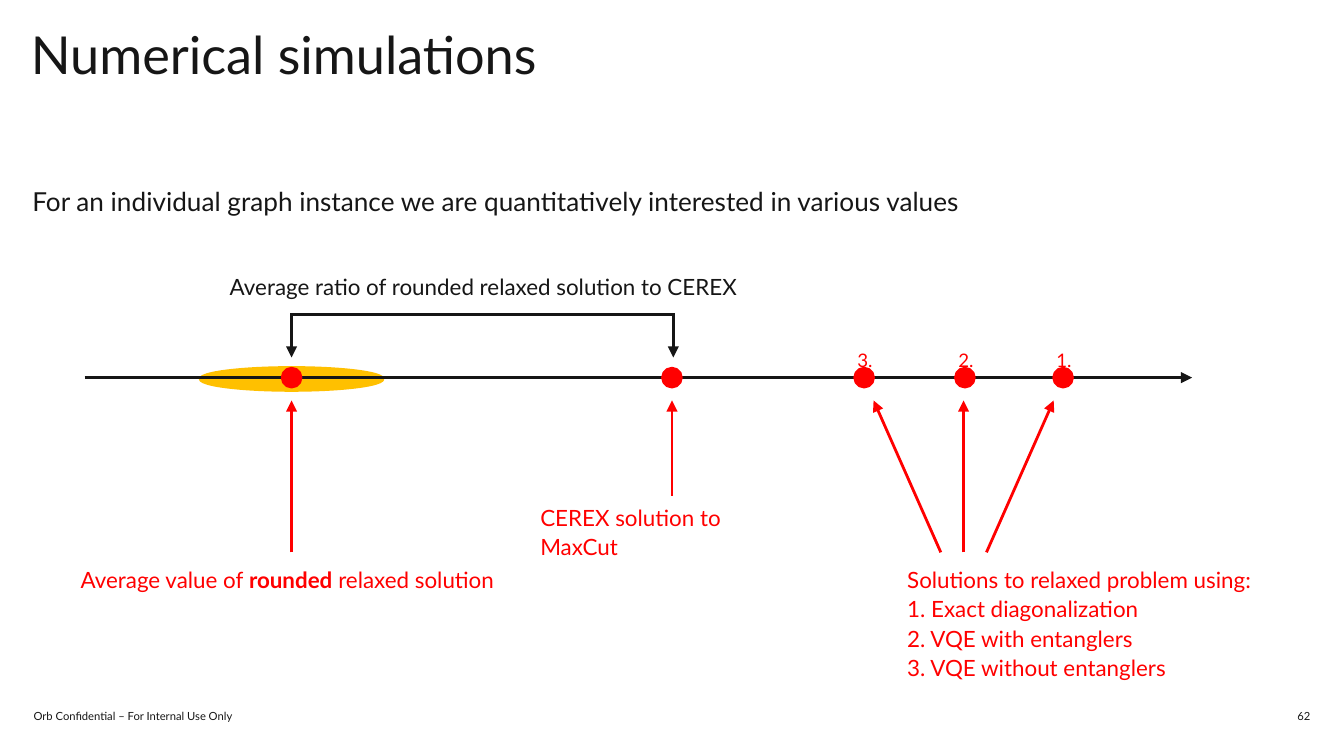
from pptx import Presentation
from pptx.dml.color import RGBColor
from pptx.enum.shapes import MSO_CONNECTOR, MSO_SHAPE
from pptx.enum.text import MSO_ANCHOR, MSO_AUTO_SIZE, PP_ALIGN
from pptx.oxml.ns import qn
from pptx.util import Inches, Pt
from lxml.etree import SubElement

INK = RGBColor(0x16, 0x16, 0x16)
RED = RGBColor(0xFF, 0x00, 0x00)
GOLD = RGBColor(0xFF, 0xC0, 0x00)
WHITE = RGBColor(0xFF, 0xFF, 0xFF)

# Positions inside the diagram box
AXIS = 0.81
MEAN, EXACT = 1.57, 4.4
RELAXED = {"3.": 5.83, "2.": 6.58, "1.": 7.31}
TIP = AXIS + 0.17
TAIL = 2.11


def write(slide, box, lines, size, color=INK, spacing=1.1, wrap=False,
          align=PP_ALIGN.LEFT, anchor=MSO_ANCHOR.TOP):
    """Add one paragraph; a line is a string or a list of (text, bold) runs."""
    frame = slide.shapes.add_textbox(*map(Inches, box)).text_frame
    for side in ("left", "top", "right", "bottom"):
        setattr(frame, f"margin_{side}", 0)
    frame.word_wrap = wrap
    if not wrap:
        frame.auto_size = MSO_AUTO_SIZE.SHAPE_TO_FIT_TEXT
    frame.vertical_anchor = anchor
    para = frame.paragraphs[0]
    para.line_spacing = spacing
    para.alignment = align
    para.font.size = Pt(size)
    for i, line in enumerate(lines):
        if i:
            para.add_line_break()
        runs = [(line, False)] if isinstance(line, str) else line
        for text, bold in runs:
            run = para.add_run()
            run.text = text
            style = {"name": "Lato", "size": Pt(size), "bold": bold}
            for key, value in style.items():
                setattr(run.font, key, value)
            run.font.color.rgb = color


def oval(slide, x, y, width, height, color):
    """Add a filled ellipse centred on x, y."""
    box = (x - width / 2, y - height / 2, width, height)
    shape = slide.shapes.add_shape(MSO_SHAPE.OVAL, *map(Inches, box))
    shape.shadow.inherit = False
    shape.fill.solid()
    shape.fill.fore_color.rgb = color
    shape.line.color.rgb = color
    shape.line.width = Pt(1.5)


def stroke(slide, start, end, color=INK, arrow=True):
    line = slide.shapes.add_connector(
        MSO_CONNECTOR.STRAIGHT, *map(Inches, (*start, *end)))
    line.line.color.rgb = color
    line.line.width = Pt(1.5)
    if arrow:
        SubElement(line.line._get_or_add_ln(), qn("a:tailEnd"), type="triangle")
    SubElement(line._element.spPr, qn("a:effectLst"))


def header(slide, left, top, width):
    write(slide, (left, top, 7.04, 0.88), ["Numerical simulations"], 28,
          spacing=0.9, wrap=True)
    write(slide, (left + 0.01, top + 1.14, width, 3.56),
          ["For an individual graph instance we are quantitatively "
           "interested in various values"], 14, wrap=True)


def number_line(slide, left, top, width):
    y = top + AXIS
    oval(slide, left + MEAN, y + 0.01, 1.36, 0.17, GOLD)
    stroke(slide, (left + 0.03, y), (left + width, y))
    for x in (MEAN, EXACT, *RELAXED.values()):
        oval(slide, left + x, y, 0.14, 0.14, RED)
    for text, x in RELAXED.items():
        write(slide, (left + x - 0.05, y - 0.23, 0.12, 0.17), [text], 10, RED)


def bracket(slide, left, top):
    """Show the ratio between the mean and the exact solution."""
    write(slide, (left + 1.11, top + 0.01, 3.86, 0.21),
          ["Average ratio of rounded relaxed solution to CEREX"], 12)
    y = top + 0.34
    ends = (left + MEAN, left + EXACT + 0.01)
    for x in ends:
        stroke(slide, (x, y), (x, y + 0.32))
    stroke(slide, (ends[0] - 0.01, y), (ends[1] + 0.01, y), arrow=False)


def pointers(slide, left, top):
    """Explain the red dots from below the axis."""
    mid = RELAXED["2."] - 0.01
    arrows = [(MEAN, TAIL, MEAN), (EXACT, 1.69, EXACT)]
    arrows += [(mid + 0.17 * n, TAIL, mid + 0.67 * n) for n in (-1, 0, 1)]
    for foot, drop, head in arrows:
        stroke(slide, (left + foot, top + drop), (left + head, top + TIP), RED)

    notes = [
        ((0, 2.19, 3.19, 0.21),
         [[("Average value of ", False), ("rounded", True),
           (" relaxed solution", False)]]),
        ((3.42, 1.73, 1.95, 0.21), ["CEREX solution to MaxCut"]),
        ((6.15, 2.19, 2.69, 0.88),
         ["Solutions to relaxed problem using:", "1. Exact diagonalization",
          "2. VQE with entanglers", "3. VQE without entanglers"]),
    ]
    for (x, y, width, height), lines in notes:
        write(slide, (left + x, top + y, width, height), lines, 12, RED)


def footer(slide, left, top, width):
    look = {"size": 6, "spacing": 1.0, "wrap": True,
            "anchor": MSO_ANCHOR.MIDDLE}
    write(slide, (left, top, 4.5, 0.18),
          ["Orb Confidential – For Internal Use Only"], **look)
    write(slide, (left + width - 2, top, 2, 0.18), ["62"],
          align=PP_ALIGN.RIGHT, **look)


def main():
    deck = Presentation()
    deck.slide_width = Inches(10)
    deck.slide_height = deck.slide_width * 9 // 16
    slide = deck.slides.add_slide(deck.slide_layouts[6])
    slide.background.fill.solid()
    slide.background.fill.fore_color.rgb = WHITE
    header(slide, 0.23, 0.22, 9.52)
    number_line(slide, 0.6, 2, 8.27)
    bracket(slide, 0.6, 2)
    pointers(slide, 0.6, 2)
    footer(slide, 0.25, 5.24, 9.5)
    deck.save("out.pptx")


if __name__ == "__main__":
    main()
